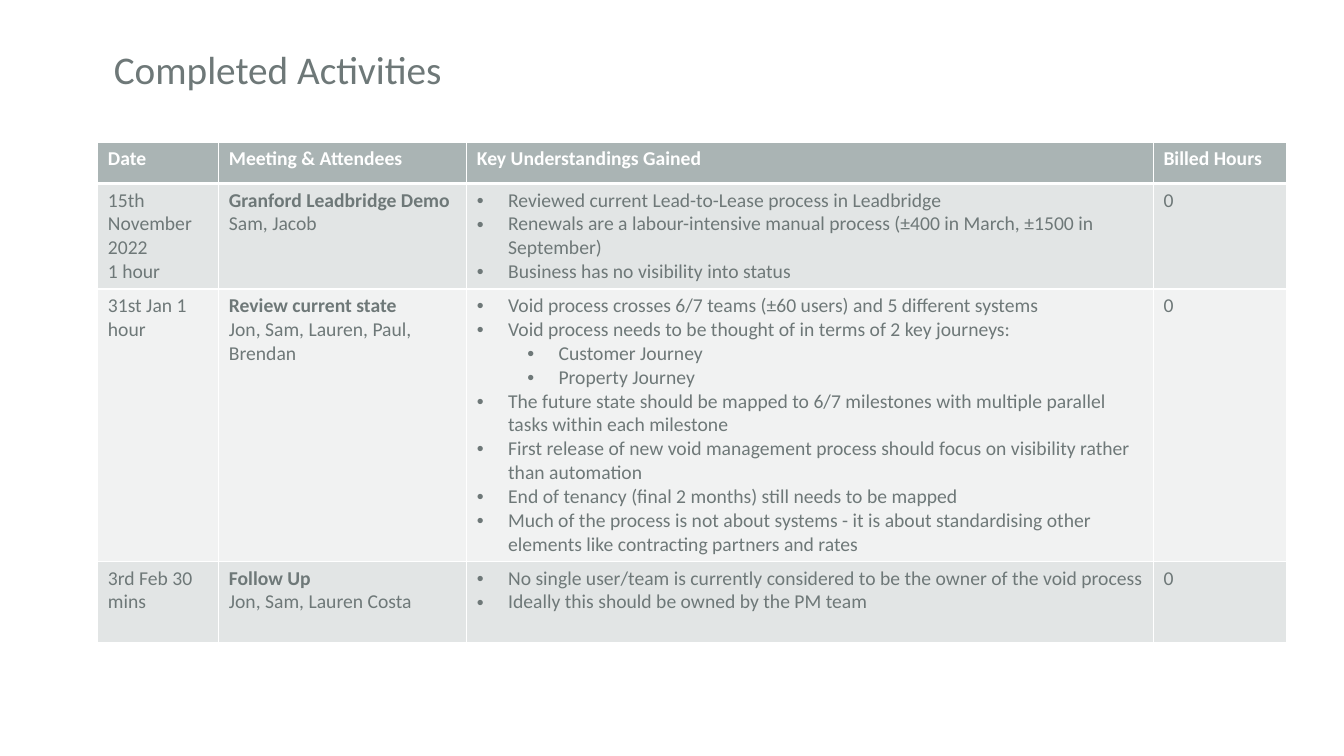
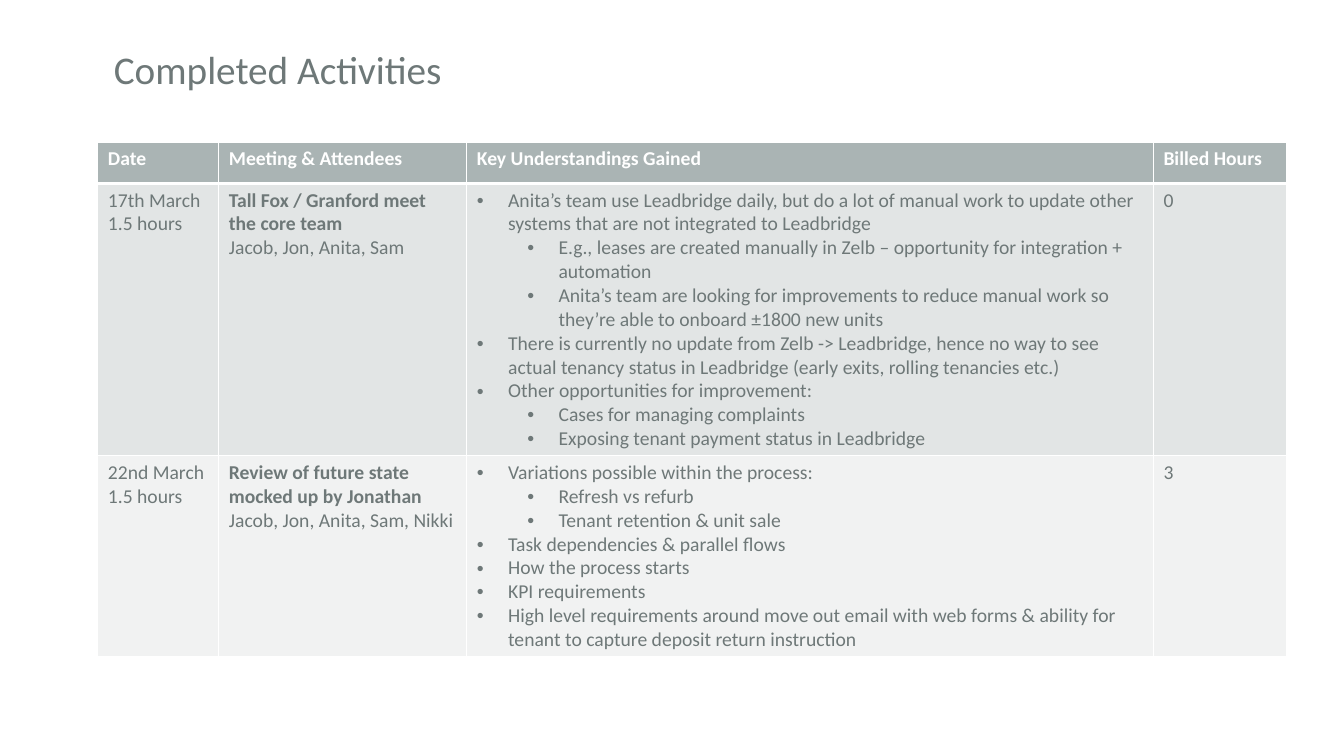
"""Build two slides that tabulate completed activities."""
from lxml import etree
from pptx import Presentation, util as u
from pptx.dml.color import RGBColor
from pptx.enum import text
from pptx.oxml.ns import qn

FONT = "Calibri"
INK, WHITE, HEADER = "6E7878", "FFFFFF", "AAB4B4"
BANDS = "E2E5E5", "F1F2F2"
WIDTH, HEIGHT = 13.33, 7.5
TITLE = "Completed Activities"
TITLE_BOX = 1.03, 0.4, 9.43, 0.63
TABLE_LEFT, TABLE_TOP = 0.97, 1.41
COLUMNS = (("Date", 1.2), ("Meeting & Attendees", 2.46),
           ("Key Understandings Gained", 6.81), ("Billed Hours", 1.32))
HEADER_HEIGHT, LINE_HEIGHT, ROW_PADDING = 0.41, 0.235, 0.1
INDENT, LEVEL_STEP = 0.31, 0.5

SLIDES = [
    [
        {"date": "15th November 2022 \n1 hour", "meeting": "Granford Leadbridge Demo",
         "people": "Sam, Jacob", "hours": "0", "lines": 4,
         "points": [
             (0, "Reviewed current Lead-to-Lease process in Leadbridge"),
             (0, "Renewals are a labour-intensive manual process (±400 in March, ±1500 in September)"),
             (0, "Business has no visibility into status")]},
        {"date": "31st Jan 1 hour", "meeting": "Review current state",
         "people": "Jon, Sam, Lauren, Paul, Brendan", "hours": "0", "lines": 11,
         "points": [
             (0, "Void process crosses 6/7 teams (±60 users) and 5 different systems"),
             (0, "Void process needs to be thought of in terms of 2 key journeys:"),
             (1, "Customer Journey"),
             (1, "Property Journey"),
             (0, "The future state should be mapped to 6/7 milestones with multiple parallel "
                 "tasks within each milestone"),
             (0, "First release of new void management process should focus on visibility "
                 "rather than automation"),
             (0, "End of tenancy (final 2 months) still needs to be mapped"),
             (0, "Much of the process is not about systems - it is about standardising other "
                 "elements like contracting partners and rates")]},
        {"date": "3rd Feb 30 mins", "meeting": "Follow Up",
         "people": "Jon, Sam, Lauren Costa", "hours": "0", "lines": 3,
         "points": [
             (0, "No single user/team is currently considered to be the owner of the void process"),
             (0, "Ideally this should be owned by the PM team")]},
    ],
    [
        {"date": "17th March 1.5 hours", "meeting": "Tall Fox / Granford meet the core team",
         "people": "Jacob, Jon, Anita, Sam", "hours": "0", "lines": 11,
         "points": [
             (0, "Anita’s team use Leadbridge daily, but do a lot of manual work to update other "
                 "systems that are not integrated to Leadbridge"),
             (1, "E.g., leases are created manually in Zelb – opportunity for integration + "
                 "automation"),
             (1, "Anita’s team are looking for improvements to reduce manual work so they’re "
                 "able to onboard ±1800 new units"),
             (0, "There is currently no update from Zelb -> Leadbridge, hence no way to see "
                 "actual tenancy status in Leadbridge (early exits, rolling tenancies etc.)"),
             (0, "Other opportunities for improvement:"),
             (1, "Cases for managing complaints"),
             (1, "Exposing tenant payment status in Leadbridge")]},
        {"date": "22nd March 1.5 hours", "meeting": "Review of future state mocked up by Jonathan",
         "people": "Jacob, Jon, Anita, Sam, Nikki", "hours": "3", "lines": 8,
         "points": [
             (0, "Variations possible within the process:"),
             (1, "Refresh vs refurb"),
             (1, "Tenant retention & unit sale"),
             (0, "Task dependencies & parallel flows"),
             (0, "How the process starts"),
             (0, "KPI requirements"),
             (0, "High level requirements around move out email with web forms & ability for "
                 "tenant to capture deposit return instruction")]},
    ],
]


def rgb(value):
    """Turn a hex string into a colour."""
    return RGBColor.from_string(value)


def write(paragraph, content, size=14, color=INK, bold=False, level=None):
    """Write formatted text, bulleted when a level is given."""
    paragraph.alignment = text.PP_ALIGN.LEFT
    for number, line in enumerate(content.split("\n")):
        if number:
            paragraph.add_line_break()
        run = paragraph.add_run()
        run.text = line
        run.font.name, run.font.size, run.font.bold = FONT, u.Pt(size), bold
        run.font.color.rgb = rgb(color)
    if level is not None:
        paragraph.level = level
        properties = paragraph._p.get_or_add_pPr()
        properties.set("marL", str(u.Inches(INDENT + level * LEVEL_STEP)))
        properties.set("indent", str(-u.Inches(INDENT)))
        etree.SubElement(properties, qn("a:buFont"), typeface="Arial")
        etree.SubElement(properties, qn("a:buChar"), char="•")


def fill_cell(cell, row, color, paragraphs):
    """Draw the borders and fill of a cell and write its paragraphs."""
    thick_side = {0: "B", 1: "T"}.get(row)
    properties = cell._tc.get_or_add_tcPr()
    for side in "LRTB":
        width = u.Pt(3 if side == thick_side else 1)
        line = etree.SubElement(properties, qn(f"a:ln{side}"), w=str(width))
        line_fill = etree.SubElement(line, qn("a:solidFill"))
        etree.SubElement(line_fill, qn("a:srgbClr"), val=WHITE)
    cell.fill.solid()
    cell.fill.fore_color.rgb = rgb(color)
    frame = cell.text_frame
    for number, (content, style) in enumerate(paragraphs):
        paragraph = frame.add_paragraph() if number else frame.paragraphs[0]
        write(paragraph, content, **style)


def add_title(slide):
    """Place and format the slide title."""
    title = slide.shapes.title
    title.left, title.top, title.width, title.height = map(u.Inches, TITLE_BOX)
    title.text_frame.vertical_anchor = text.MSO_ANCHOR.MIDDLE
    paragraph = title.text_frame.paragraphs[0]
    paragraph.line_spacing, paragraph.space_before = 0.9, u.Pt(10)
    write(paragraph, TITLE, size=28)


def add_activities(slide, activities):
    """Add the table of activities."""
    heights = [HEADER_HEIGHT] + [
        ROW_PADDING + activity["lines"] * LINE_HEIGHT for activity in activities]
    width = sum(column_width for _, column_width in COLUMNS)
    table = slide.shapes.add_table(
        len(heights), len(COLUMNS),
        *map(u.Inches, (TABLE_LEFT, TABLE_TOP, width, sum(heights)))).table
    table.horz_banding = False
    for row, height in zip(table.rows, heights):
        row.height = u.Inches(height)
    for index, (heading, column_width) in enumerate(COLUMNS):
        table.columns[index].width = u.Inches(column_width)
        fill_cell(table.cell(0, index), 0, HEADER,
                  [(heading, {"color": WHITE, "bold": True})])
    for row, activity in enumerate(activities, 1):
        contents = (
            [(activity["date"], {})],
            [(activity["meeting"], {"bold": True}), (activity["people"], {})],
            [(point, {"level": level}) for level, point in activity["points"]],
            [(activity["hours"], {})],
        )
        for column, paragraphs in enumerate(contents):
            fill_cell(table.cell(row, column), row, BANDS[(row - 1) % 2], paragraphs)


def main():
    """Build and save the presentation."""
    presentation = Presentation()
    presentation.slide_width = u.Inches(WIDTH)
    presentation.slide_height = u.Inches(HEIGHT)
    for activities in SLIDES:
        slide = presentation.slides.add_slide(presentation.slide_layouts[5])
        add_title(slide)
        add_activities(slide, activities)
    presentation.save("out.pptx")


if __name__ == "__main__":
    main()
